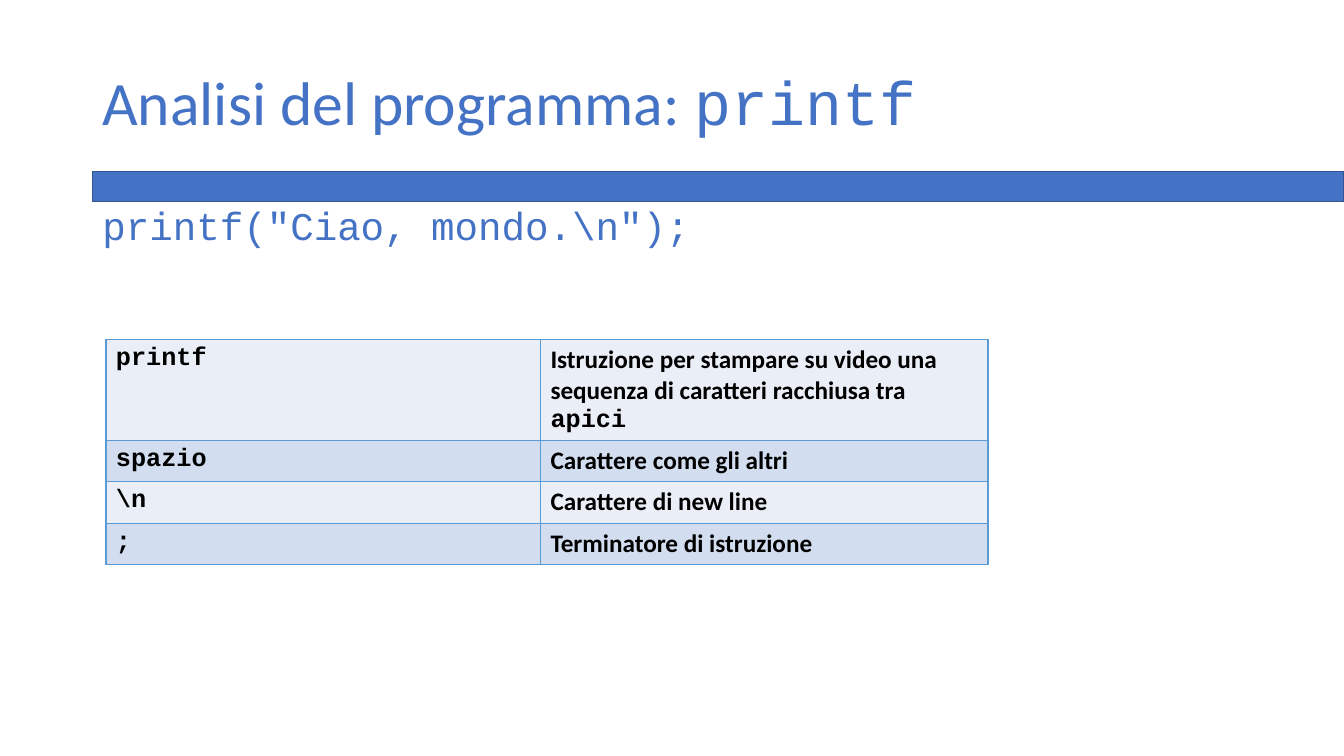
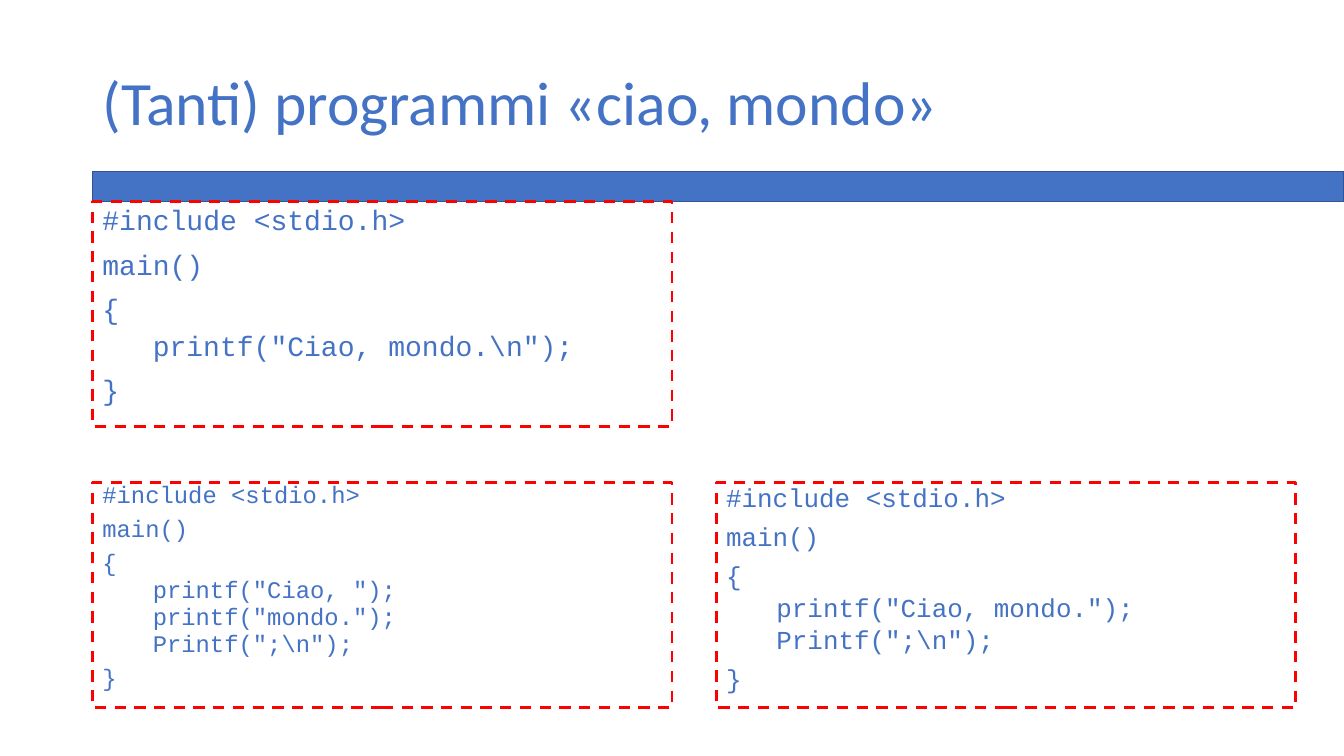
from pptx import Presentation
from pptx.dml.color import RGBColor
from pptx.enum.dml import MSO_LINE_DASH_STYLE as Dash
from pptx.enum.shapes import MSO_SHAPE as Shape
from pptx.enum.text import MSO_ANCHOR as Anchor, PP_ALIGN as Align
from pptx.oxml import parse_xml
from pptx.oxml.ns import nsdecls
from pptx.util import Inches, Pt

SANS, CODE = "Calibri", "Courier New"
LEFT, TOP, WIDTH = 6.88, 26.67, 86.25
BOX_WIDTH, BOX_HEIGHT = 43.13, 29.73
COLUMN_STEP, ROW_STEP = 46.4, 37.2


def color(value):
    return RGBColor.from_string(value)


def set_all(target, values):
    for name, value in values.items():
        setattr(target, name, value)


class Deck:
    blue, edge, red, black = "4472C4", "325491", "FF0000", "000000"
    table_line, bands = "5B9BD5", ("EAEFF7", "D2DEEF")

    def __init__(self):
        self.presentation = Presentation()
        set_all(self.presentation, {"slide_width": Inches(13.33), "slide_height": Inches(7.5)})
        self.slide = None

    def place(self, left, top, width, height):
        across = self.presentation.slide_width / 100
        down = self.presentation.slide_height / 100
        return [round(share * unit) for share, unit in
                zip((left, top, width, height), (across, down, across, down))]

    def runs(self, paragraph, parts, size, ink, bold=False):
        for text, font in parts:
            run = paragraph.add_run()
            run.text = text
            set_all(run.font, {"name": font, "size": Pt(size), "bold": bold})
            run.font.color.rgb = color(ink)

    def text(self, area, parts, size, anchor=Anchor.TOP, before=0):
        frame = self.slide.shapes.add_textbox(*self.place(*area)).text_frame
        set_all(frame, {"word_wrap": True, "vertical_anchor": anchor})
        paragraph = frame.paragraphs[0]
        set_all(paragraph, {"line_spacing": 0.9, "space_before": Pt(before)})
        self.runs(paragraph, parts, size, self.blue)

    def rectangle(self, area, line, width, fill=None):
        shape = self.slide.shapes.add_shape(Shape.RECTANGLE, *self.place(*area))
        shape.shadow.inherit = False
        if fill:
            shape.fill.solid()
            shape.fill.fore_color.rgb = color(fill)
        else:
            shape.fill.background()
        shape.line.color.rgb = color(line)
        shape.line.width = Pt(width)
        return shape

    def new_slide(self, *title):
        self.slide = self.presentation.slides.add_slide(self.presentation.slide_layouts[6])
        self.rectangle((LEFT, 22.67, 100 - LEFT, 4), self.edge, 1, self.blue)
        self.text((LEFT, 5.33, WIDTH, 17.33), title, 44, Anchor.MIDDLE)

    def code_box(self, column, row, statements, size, spacing):
        area = (LEFT + column * COLUMN_STEP, TOP + row * ROW_STEP, BOX_WIDTH, BOX_HEIGHT)
        shape = self.rectangle(area, self.red, 2)
        shape.line.dash_style = Dash.DASH
        frame = shape.text_frame
        set_all(frame, {"word_wrap": True, "vertical_anchor": Anchor.TOP})
        lines = ["#include <stdio.h>", "main()", "{", *statements, "}"]
        for index, line in enumerate(lines):
            paragraph = frame.add_paragraph() if index else frame.paragraphs[0]
            nested = line in statements
            set_all(paragraph, {"alignment": Align.LEFT, "line_spacing": spacing,
                                "space_before": Pt(5 if nested else 10)})
            if nested:
                paragraph.level = 1
                properties = paragraph._p.get_or_add_pPr()
                properties.set("marL", str(Inches(0.5)))
                properties.set("indent", "0")
            self.runs(paragraph, [(line, CODE)], size, self.blue)

    def cell_border(self, cell):
        properties = cell._tc.get_or_add_tcPr()
        for side in "LRTB":
            properties.append(parse_xml(
                f'<a:ln{side} {nsdecls("a")} w="{Pt(1)}"><a:solidFill>'
                f'<a:srgbClr val="{self.table_line}"/></a:solidFill></a:ln{side}>'))

    def table(self, area, column_widths, row_heights, rows):
        table = self.slide.shapes.add_table(
            len(rows), len(column_widths), *self.place(*area)).table
        set_all(table, {"first_row": False, "horz_banding": False})
        for column, width in zip(table.columns, column_widths):
            column.width = Inches(width)
        for index, (height, row) in enumerate(zip(row_heights, rows)):
            table.rows[index].height = Inches(height)
            for cell, parts in zip(table.rows[index].cells, row):
                self.cell_border(cell)
                cell.fill.solid()
                cell.fill.fore_color.rgb = color(self.bands[index % 2])
                self.runs(cell.text_frame.paragraphs[0], parts, 18, self.black, True)


deck = Deck()

deck.new_slide(("Analisi del programma: ", SANS), ("printf", CODE))
deck.text((LEFT, TOP, WIDTH, 63.47), [('printf("Ciao, mondo.\\n");', CODE)], 28, before=10)
explanations = [
    ("printf", [("Istruzione per stampare su video una sequenza di caratteri racchiusa tra ", SANS),
                ("apici", CODE)]),
    ("spazio", [("Carattere come gli altri", SANS)]),
    ("\\n", [("Carattere di new line", SANS)]),
    (";", [("Terminatore di istruzione", SANS)]),
]
deck.table((7.88, 44.93, 65.7, 29.6), (4.31, 4.44), (0.99, 0.41, 0.41, 0.41),
           [([(symbol, CODE)], meaning) for symbol, meaning in explanations])

deck.new_slide(("(Tanti) programmi «ciao, mondo»", SANS))
deck.code_box(0, 0, ['printf("Ciao, mondo.\\n");'], 20, 0.9)
deck.code_box(0, 1, ['printf("Ciao, ");', 'printf("mondo.");', 'Printf(";\\n");'], 17, 0.7)
deck.code_box(1, 1, ['printf("Ciao, mondo.");', 'Printf(";\\n");'], 18.5, 0.8)

deck.presentation.save("out.pptx")
